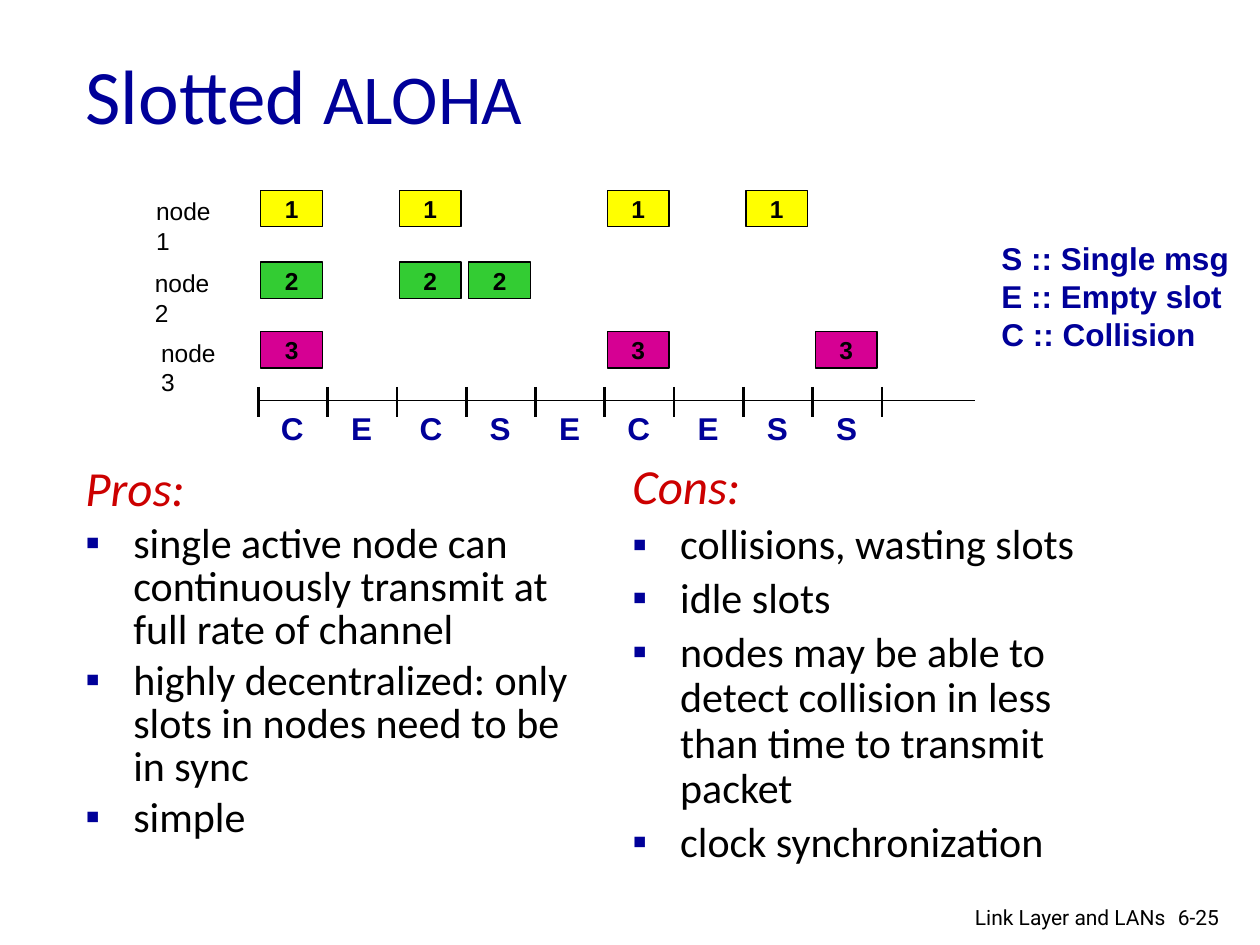
from lxml import etree
from pptx import Presentation
from pptx.dml.color import RGBColor
from pptx.enum.shapes import MSO_CONNECTOR, MSO_SHAPE
from pptx.enum.text import MSO_ANCHOR, PP_ALIGN
from pptx.oxml.ns import qn
from pptx.util import Inches, Pt

RECT = MSO_SHAPE.RECTANGLE
LINE = MSO_CONNECTOR.STRAIGHT
MIDDLE = MSO_ANCHOR.MIDDLE
LEFT, CENTER, RIGHT = PP_ALIGN.LEFT, PP_ALIGN.CENTER, PP_ALIGN.RIGHT
NAVY, BLACK, RED = "000099", "000000", "CC0000"
START, STEP = 2.05, 0.55


def color(code):
    return RGBColor.from_string(code)


def write(shape, text, size, font, code, bold=False, align=LEFT, wrap=True):
    frame = shape.text_frame
    frame.text = text
    frame.word_wrap = wrap
    for para in frame.paragraphs:
        para.alignment = align
        for run in para.runs:
            run.font.size = Pt(size)
            run.font.name = font
            run.font.bold = bold
            run.font.color.rgb = color(code)
    return frame


deck = Presentation()
deck.slide_width, deck.slide_height = Inches(10), Inches(7.5)
slide = deck.slides.add_slide(deck.slide_layouts[6])
shapes = slide.shapes

lists = [
    (0.58, 3.65, 0.85, [
        "Pros:",
        "single active node can continuously transmit at full rate of channel",
        "highly decentralized: only slots in nodes need to be in sync",
        "simple",
    ]),
    (4.92, 3.62, 0.9, [
        "Cons:",
        "collisions, wasting slots",
        "idle slots",
        "nodes may be able to detect collision in less than time to transmit packet",
        "clock synchronization",
    ]),
]
for left, top, space, items in lists:
    box = shapes.add_textbox(Inches(left), Inches(top), Inches(4.17), Inches(3.5))
    frame = write(box, "\n".join(items), 24, "Calibri", BLACK)
    head = frame.paragraphs[0].runs[0].font
    head.size, head.italic = Pt(28), True
    head.color.rgb = color(RED)
    for index, para in enumerate(frame.paragraphs):
        para.line_spacing = space
        para.space_before = Pt(4.8 if index else 5.6)
        props = para._p.get_or_add_pPr()
        props.set("marL", str(Inches(0.38)))
        props.set("indent", str(Inches(-0.38)))
        if index:
            tint = etree.SubElement(props, qn("a:buClr"))
            etree.SubElement(tint, qn("a:srgbClr"), val=NAVY)
            etree.SubElement(props, qn("a:buFont"), typeface="Arial")
            etree.SubElement(props, qn("a:buChar"), char="▪")

box = shapes.add_textbox(Inches(0.58), Inches(0.12), Inches(5.42), Inches(1.25))
frame = write(box, "Slotted ", 44, "Calibri", NAVY)
frame.vertical_anchor = MIDDLE
run = frame.paragraphs[0].add_run()
run.text = "ALOHA"
run.font.size, run.font.name = Pt(40), "Calibri"
run.font.color.rgb = color(NAVY)

nodes = [
    ("1", 1.14, 1.51, "FFFF00", [0, 2, 5, 7]),
    ("2", 1.13, 2.08, "33CC33", [0, 2, 3]),
    ("3", 1.18, 2.63, "D60093", [0, 5, 8]),
]
for name, left, top, fill, slots in nodes:
    box = shapes.add_textbox(Inches(left), Inches(top), Inches(0.79), Inches(0.33))
    write(box, "node " + name, 14, "Arial", BLACK, wrap=False)
    for slot in slots:
        frame = shapes.add_shape(RECT, Inches(START + slot * STEP + 0.02), Inches(top),
                                 Inches(0.49), Inches(0.29))
        frame.shadow.inherit = False
        frame.fill.solid()
        frame.fill.fore_color.rgb = color(fill)
        frame.line.color.rgb = color(BLACK)
        frame.line.width = Pt(0.75)
        text = write(frame, name, 14, "Arial", BLACK, True, CENTER, False)
        text.vertical_anchor = MIDDLE
        text.margin_top = text.margin_bottom = 0

lines = [(START, 3.18, 7.74, 3.18, 0.75)]
for slot in range(10):
    left = START + slot * STEP
    lines.append((left, 3.07, left, 3.31, 1.5))
for left, top, right, base, width in lines:
    line = shapes.add_connector(LINE, Inches(left), Inches(top), Inches(right), Inches(base))
    line.line.color.rgb = color(BLACK)
    line.line.width = Pt(width)
    etree.SubElement(line._element.spPr, qn("a:effectLst"))

for slot, state in enumerate("CECSECESS"):
    box = shapes.add_textbox(Inches(START + slot * STEP + 0.08), Inches(3.2),
                             Inches(0.38), Inches(0.4))
    write(box, state, 18, "Arial", NAVY, True, CENTER, False)

box = shapes.add_textbox(Inches(9.25), Inches(7.13), Inches(0.6), Inches(0.3))
write(box, "6-25", 12, "Roboto", BLACK)
box = shapes.add_textbox(Inches(6.97), Inches(7.13), Inches(2.38), Inches(0.26))
write(box, "Link Layer and LANs", 12, "Roboto", BLACK, align=RIGHT)

box = shapes.add_textbox(Inches(7.85), Inches(1.85), Inches(2.03), Inches(1.01))
write(box, "S :: Single msg\nE :: Empty slot\nC :: Collision", 18, "Arial", NAVY, True, wrap=False)

deck.save("out.pptx")
